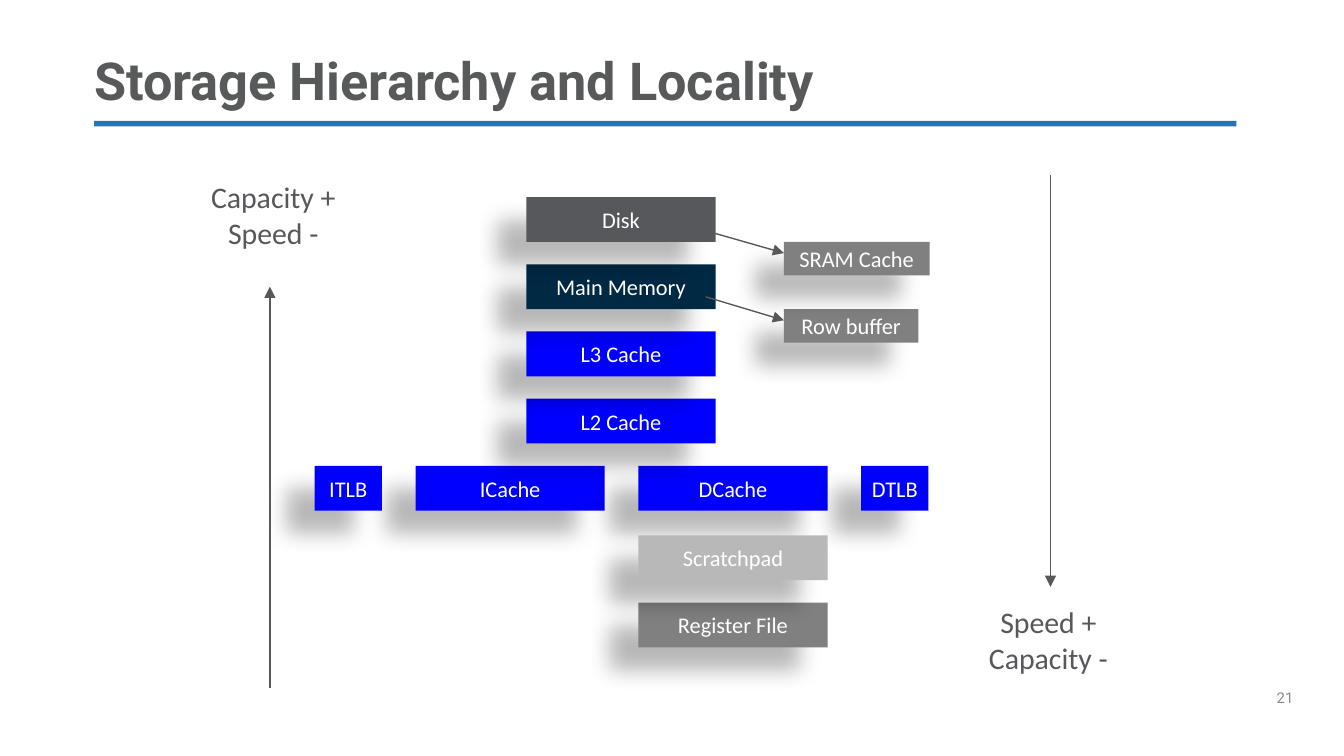
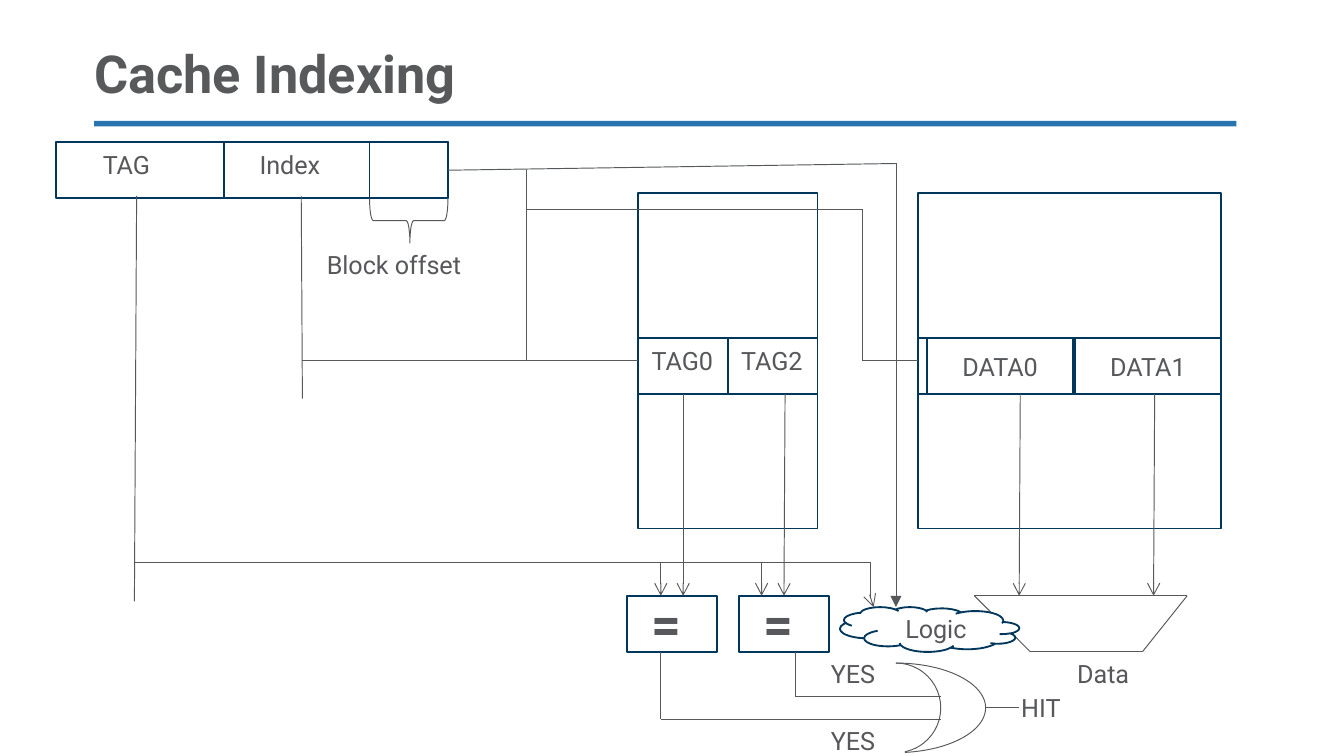
import itertools
from dataclasses import dataclass
from typing import Optional

import pptx
import pptx.dml.color
import pptx.enum.shapes
import pptx.enum.text
import pptx.oxml
import pptx.oxml.ns
import pptx.util

RGBColor = pptx.dml.color.RGBColor
Kind = pptx.enum.shapes.MSO_SHAPE
Wire = pptx.enum.shapes.MSO_CONNECTOR
Align = pptx.enum.text.PP_ALIGN
Anchor = pptx.enum.text.MSO_ANCHOR
Fit = pptx.enum.text.MSO_AUTO_SIZE
Pt = pptx.util.Pt

WIDE = pptx.util.Inches(10)
HIGH = pptx.util.Inches(5.625)
COLS, ROWS = 120, 67.5

WHITE = RGBColor(0xFF, 0xFF, 0xFF)
BLACK = RGBColor(0, 0, 0)
BAND = RGBColor(0x27, 0x74, 0xAE)
HEAD = RGBColor(0x58, 0x59, 0x5B)
INK = RGBColor(0x57, 0x58, 0x5B)
PAGE = RGBColor(0x89, 0x89, 0x89)
NAVY = RGBColor(0x00, 0x37, 0x5B)
DEEP = RGBColor(0x00, 0x29, 0x44)
BLUE = RGBColor(0x00, 0x00, 0xFF)
GRAY = RGBColor(0x80, 0x80, 0x80)
PALE = RGBColor(0xB8, 0xB8, 0xB8)


@dataclass
class Box:
    x: float
    y: float
    w: float
    h: float
    text: str = ""
    fill: Optional[RGBColor] = WHITE
    edge: Optional[RGBColor] = NAVY
    thick: float = 1
    kind: int = Kind.RECTANGLE


@dataclass
class Note:
    x: float
    y: float
    w: float
    h: float
    lines: tuple
    size: float = 13.5
    font: str = "Roboto"
    bold: bool = False
    align: int = Align.LEFT


@dataclass
class Line:
    x1: float
    y1: float
    x2: float
    y2: float
    tip: str = ""
    thick: float = 0.5
    kind: int = Wire.STRAIGHT


def col(n: float) -> int:
    return round(WIDE * n / COLS)


def row(n: float) -> int:
    return round(HIGH * n / ROWS)


def place(x: float, y: float, w: float, h: float) -> tuple:
    return col(x), row(y), col(w), row(h)


def tag(label: str, **attrs):
    node = pptx.oxml.parse_xml(f"<a:{label} {pptx.oxml.ns.nsdecls('a')}/>")
    for key, value in attrs.items():
        node.set(key, str(value))
    return node


def write(para, text: str, size: float, font: str, color: RGBColor, bold: bool = False) -> None:
    run = para.add_run()
    run.text = text
    run.font.size = Pt(size)
    run.font.name = font
    run.font.bold = bold
    run.font.color.rgb = color


def draw_box(slide, box: Box, font: str = "Roboto", size: float = 13.5,
             color: RGBColor = INK, wrap: bool = True):
    shape = slide.shapes.add_shape(box.kind, *place(box.x, box.y, box.w, box.h))
    shape.shadow.inherit = False
    if box.fill is None:
        shape.fill.background()
    else:
        shape.fill.solid()
        shape.fill.fore_color.rgb = box.fill
    if box.edge is None:
        shape.line.fill.background()
    else:
        shape.line.color.rgb = box.edge
        shape.line.width = Pt(box.thick)
    if box.text:
        frame = shape.text_frame
        frame.word_wrap = wrap
        frame.vertical_anchor = Anchor.MIDDLE
        frame.paragraphs[0].alignment = Align.CENTER
        write(frame.paragraphs[0], box.text, size, font, color)
    return shape


def draw_note(slide, note: Note) -> None:
    frame = slide.shapes.add_textbox(*place(note.x, note.y, note.w, note.h)).text_frame
    frame.word_wrap = False
    frame.auto_size = Fit.SHAPE_TO_FIT_TEXT
    for i, text in enumerate(note.lines):
        para = frame.add_paragraph() if i else frame.paragraphs[0]
        para.alignment = note.align
        write(para, text, note.size, note.font, INK, note.bold)


def draw_line(slide, line: Line):
    wire = slide.shapes.add_connector(
        line.kind, col(line.x1), row(line.y1), col(line.x2), row(line.y2))
    wire.line.color.rgb = INK
    wire.line.width = Pt(line.thick)
    prop = wire.element.spPr
    if line.tip:
        prop.find(pptx.oxml.ns.qn("a:ln")).append(tag("tailEnd", type=line.tip))
    prop.append(tag("effectLst"))
    return wire


def cast(shape) -> None:
    shade = tag("outerShdw", blurRad=Pt(11.8), dist=Pt(19.7), dir=141 * 60000, rotWithShape=0)
    tint = tag("srgbClr", val=BLACK)
    tint.append(tag("alpha", val=28000))
    shade.append(tint)
    shape.element.spPr.find(pptx.oxml.ns.qn("a:effectLst")).append(shade)


def start(deck, text: str, top: float):
    slide = deck.slides.add_slide(deck.slide_layouts[5])
    draw_box(slide, Box(8.4, 10.8, 102, 0.5, fill=BAND, edge=None))
    title = slide.shapes.title
    title.left, title.top, title.width, title.height = place(8.4, top, 102, 5.2)
    frame = title.text_frame
    frame.margin_left = frame.margin_top = frame.margin_right = frame.margin_bottom = 0
    frame.vertical_anchor = Anchor.BOTTOM
    frame.auto_size = Fit.NONE
    para = frame.paragraphs[0]
    para.alignment = Align.LEFT
    para.line_spacing = 0.9
    write(para, text, 28, "Roboto", HEAD, True)
    return slide


def number(slide, text: str) -> None:
    frame = slide.shapes.add_textbox(*place(114, 62.4, 6, 4.8)).text_frame
    frame.margin_left = frame.margin_top = frame.margin_right = 0
    frame.margin_bottom = row(3.4)
    frame.word_wrap = True
    write(frame.paragraphs[0], text, 8, "Roboto", PAGE)


def storage(deck) -> None:
    slide = start(deck, "Storage Hierarchy and Locality", 4.8)
    number(slide, "21")
    wide, tall, step, top = 16.9, 4, 6, 17.6
    base = top + 4 * step
    stack = [("Disk", INK), ("Main Memory", DEEP), ("L3 Cache", BLUE), ("L2 Cache", BLUE)]
    boxes = [
        Box(57, 53.8, wide, tall, "Register File", GRAY),
        Box(37.1, base, wide, tall, "ICache", BLUE),
        Box(57, base, wide, tall, "DCache", BLUE),
    ]
    for i, (text, fill) in reversed(list(enumerate(stack))):
        boxes.append(Box(47, top + i * step, wide, tall, text, fill))
    boxes += [
        Box(70, 27.6, 12, 3, "Row buffer", GRAY),
        Box(70, 21.6, 13, 3, "SRAM Cache", GRAY),
        Box(28.1, base, 6, tall, "ITLB", BLUE),
        Box(76.9, base, 6, tall, "DTLB", BLUE),
        Box(57, 47.8, wide, tall, "Scratchpad", PALE),
    ]
    for box in boxes:
        box.edge = None
        cast(draw_box(slide, box, "Calibri", 12, WHITE, False))
    for ends in ((63, 26.5, 70, 28.6), (63, 20.6, 70, 22.6),
                 (24.1, 61.4, 24.1, 25.6), (93.8, 15.6, 93.8, 52.4)):
        draw_line(slide, Line(*ends, "triangle", 0.75))
    for x, y, *text in ((17.6, 15.4, "Capacity +", "Speed -"),
                        (86.8, 53.3, "Speed +", "Capacity -")):
        draw_note(slide, Note(x, y, 13.6, 7.7, tuple(text), 16, "Calibri", align=Align.CENTER))


def index(deck) -> None:
    slide = start(deck, "Cache Indexing", 4.2)
    top, cell, foot, gate = 12.7, 30.2, 35.2, 53.2
    deep = 5

    draw_box(slide, Box(5, top, 35, deep))
    shift = draw_box(slide, Box(33, top, 7, deep))
    for box in (Box(20, top, 13, deep), Box(82, 17.2, 27, 30), Box(57, 17.2, 16, 30),
                Box(96, cell, 13, deep, "DATA1"), Box(57, cell, 16, deep)):
        draw_box(slide, box)
    first = draw_box(slide, Box(57, cell, 8, deep, fill=None))
    for box in (Box(56, gate, 8, deep, fill=None), Box(66, gate, 8, deep, fill=None),
                Box(82, cell, 14, deep, fill=None), Box(82.8, cell, 13, deep, "DATA0")):
        draw_box(slide, box)

    brace = draw_box(slide, Box(34.5, 16.2, 4, 7, fill=None, edge=INK, thick=0.5,
                                kind=Kind.LEFT_BRACE))
    brace.rotation = 270
    brace.adjustments[0], brace.adjustments[1] = 0.083, 0.515
    for x, w in ((72, 16), (76, 8)):
        arc = draw_box(slide, Box(x, 59.2, w, 8, fill=None, edge=INK, thick=0.5, kind=Kind.ARC))
        arc.adjustments[0], arc.adjustments[1] = 162, 47.135

    lines = [
        Line(26.9, 17.5, 27, 35.6), Line(27, 32.2, 57, 32.2), Line(47, 18.7, 77, 18.7),
        Line(77, 32.2, 77, 18.7), Line(47, 32.2, 47, 15.2), Line(77, 32.2, 82, 32.2),
        Line(12.2, 17.5, 12, 53.7), Line(12, 50.2, 68, 50.2),
        Line(71, 58.2, 71, 62.2), Line(59, 58.2, 59, 64.2),
        Line(59, 64.2, 84, 64.2), Line(71, 62.2, 84, 62.2), Line(88, 63.2, 91, 63.2),
        Line(80, 14.6, 80, 54.2, "triangle"),
    ]
    lines += [Line(x, 50.2, x, gate, "arrow") for x in (59, 68)]
    lines += [Line(x + 0.1, foot, x, gate, "arrow") for x in (70, 91, 103)]
    funnel = [(87, gate), (106, gate), (102, 58.2), (92, 58.2), (87, gate)]
    lines += [Line(*a, *b) for a, b in itertools.pairwise(funnel)]
    for line in lines:
        draw_line(slide, line)
    draw_line(slide, Line(61, foot, 61, gate, "arrow")).begin_connect(first, 2)
    draw_line(slide, Line(40, 15.2, 80, 14.6)).begin_connect(shift, 3)

    notes = [
        (22, top, 9.8, "Index"), (8, top, 8.4, "TAG"), (28, 21.7, 18, "Block offset"),
        (57, cell, 8.2, "TAG0"), (65, cell, 8.2, "TAG2"), (90, 61.2, 7.3, "HIT"),
        (73, 64.2, 8.5, "YES"), (73, 58.2, 8.5, "YES"), (95, 58.2, 8.8, "Data"),
    ]
    for x, y, w, text in notes:
        draw_note(slide, Note(x, y, w, 4.4, (text,)))
    for x in (57, 67):
        draw_note(slide, Note(x, 52.2, 5.2, 6.8, ("=",), 28, bold=True))

    cloud = draw_box(slide, Box(75, 54.2, 16, 4, "Logic", kind=Kind.CLOUD))
    cloud.element.spPr.xfrm.set("flipH", "1")
    bend = draw_line(slide, Line(68, 50.2, 78, 54.2, "arrow", kind=Wire.ELBOW))
    guide = bend.element.spPr.find(pptx.oxml.ns.qn("a:prstGeom")).get_or_add_avLst()
    guide.append(tag("gd", name="adj1", fmla="val 97200"))


def main() -> None:
    deck = pptx.Presentation()
    deck.slide_width, deck.slide_height = WIDE, HIGH
    storage(deck)
    index(deck)
    deck.save("out.pptx")


if __name__ == "__main__":
    main()
